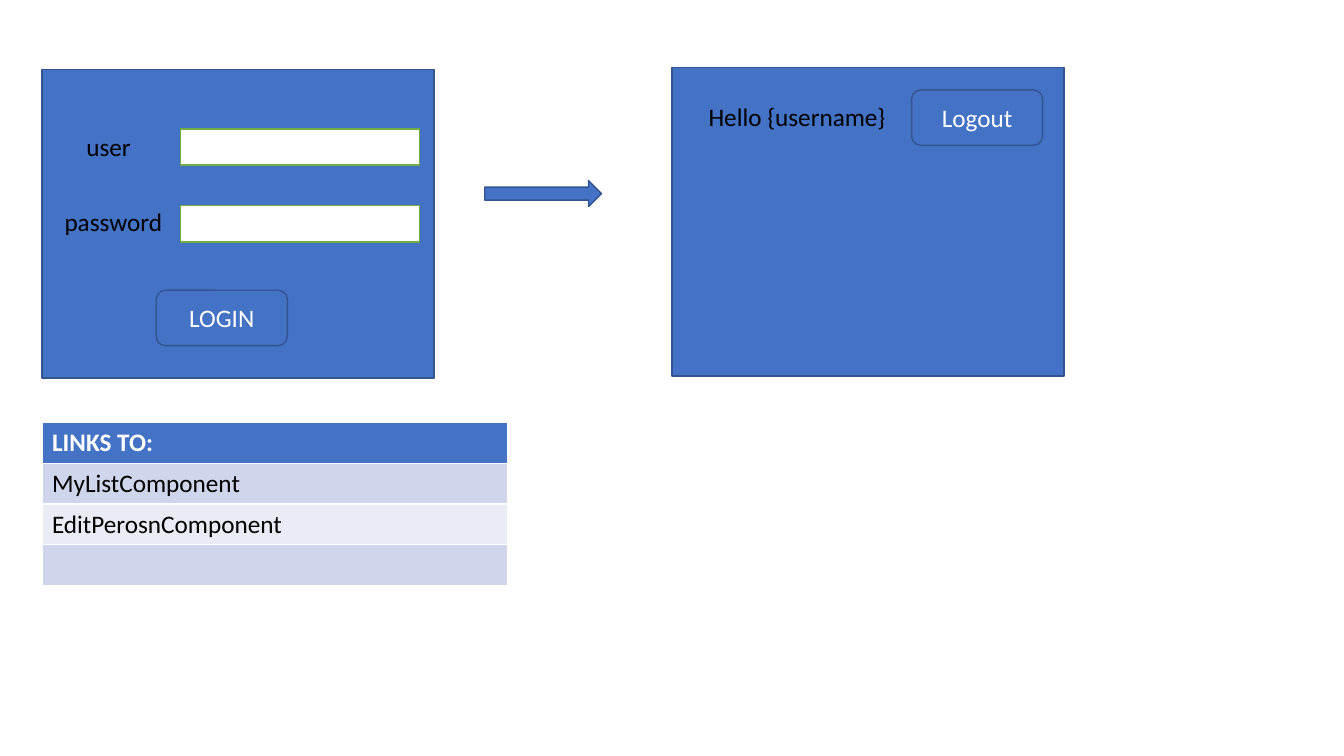
import pptx
import pptx.util
import pptx.dml.color
import pptx.enum.shapes
import pptx.enum.text

KIND = pptx.enum.shapes.MSO_SHAPE
ALIGN = pptx.enum.text.PP_ALIGN
MID = pptx.enum.text.MSO_ANCHOR.MIDDLE

THEME = {
    "blue": "4472C4", "edge": "325491", "green": "70AD47",
    "white": "FFFFFF", "black": "000000",
    "bands": ("CFD5EA", "E9EBF5"),
    "font": "Calibri", "size": 18, "line": 1,
}

# The slide is a grid of 32 columns by 18 rows of square cells
WIDE, HIGH = 13.33, 7.5
CELL = HIGH / 18
PANEL = (9.33, 7.34)
FIELD = (5.69, 0.86)
BUTTON = (3.12, 1.32)


def grid(*cells):
    return [pptx.util.Inches(n * CELL) for n in cells]


def color(name):
    return pptx.dml.color.RGBColor.from_string(THEME.get(name, name))


def write(frame, text, ink, bold=False, align=ALIGN.LEFT):
    para = frame.paragraphs[0]
    para.alignment = align
    run = para.add_run()
    run.text = text
    form = {"name": THEME["font"], "size": pptx.util.Pt(THEME["size"]), "bold": bold}
    for key, value in form.items():
        setattr(run.font, key, value)
    run.font.color.rgb = color(ink)


def block(slide, kind, spot, size, fill="blue", edge="edge", text=""):
    shape = slide.shapes.add_shape(kind, *grid(*spot, *size))
    shape.shadow.inherit = False
    shape.fill.solid()
    shape.fill.fore_color.rgb = color(fill)
    shape.line.color.rgb = color(edge)
    shape.line.width = pptx.util.Pt(THEME["line"])
    if text:
        shape.text_frame.vertical_anchor = MID
        write(shape.text_frame, text, "white", align=ALIGN.CENTER)


def label(slide, text, spot, width):
    box = slide.shapes.add_textbox(*grid(*spot, width, 0.96))
    box.text_frame.word_wrap = True
    write(box.text_frame, text, "black")


def table(slide, rows, spot, width, step):
    size = (width, step * len(rows))
    body = slide.shapes.add_table(len(rows), 1, *grid(*spot, *size)).table
    for i, text in enumerate(rows):
        head = i == 0
        cell = body.cell(i, 0)
        cell.fill.solid()
        cell.fill.fore_color.rgb = color("blue" if head else THEME["bands"][(i - 1) % 2])
        if text:
            write(cell.text_frame, text, "white" if head else "black", bold=head)


def main():
    deck = pptx.Presentation()
    deck.slide_width = pptx.util.Inches(WIDE)
    deck.slide_height = pptx.util.Inches(HIGH)
    slide = deck.slides.add_slide(deck.slide_layouts[6])

    # Login panel
    block(slide, KIND.RECTANGLE, (1, 1.66), PANEL)
    for text, left, top, width, row in (("user", 1.82, 3, 1.56, 3.07),
                                        ("password", 1.3, 4.8, 3.67, 4.9)):
        block(slide, KIND.RECTANGLE, (4.3, row), FIELD, "white", "green")
        label(slide, text, (left, top), width)
    block(slide, KIND.ROUNDED_RECTANGLE, (3.72, 6.91), BUTTON, text="LOGIN")

    # Welcome panel
    block(slide, KIND.RECTANGLE, (16, 1.61), PANEL)
    block(slide, KIND.RIGHT_ARROW, (11.54, 4.3), (2.78, 0.62))
    block(slide, KIND.ROUNDED_RECTANGLE, (21.7, 2.14), BUTTON, text="Logout")
    label(slide, "Hello {username}", (16.63, 2.3), 5.06)

    # Link list
    rows = ("LINKS TO:", "MyListComponent", "EditPerosnComponent", "")
    table(slide, rows, (1, 10.06), 11.09, 0.97)

    deck.save("out.pptx")


if __name__ == "__main__":
    main()
